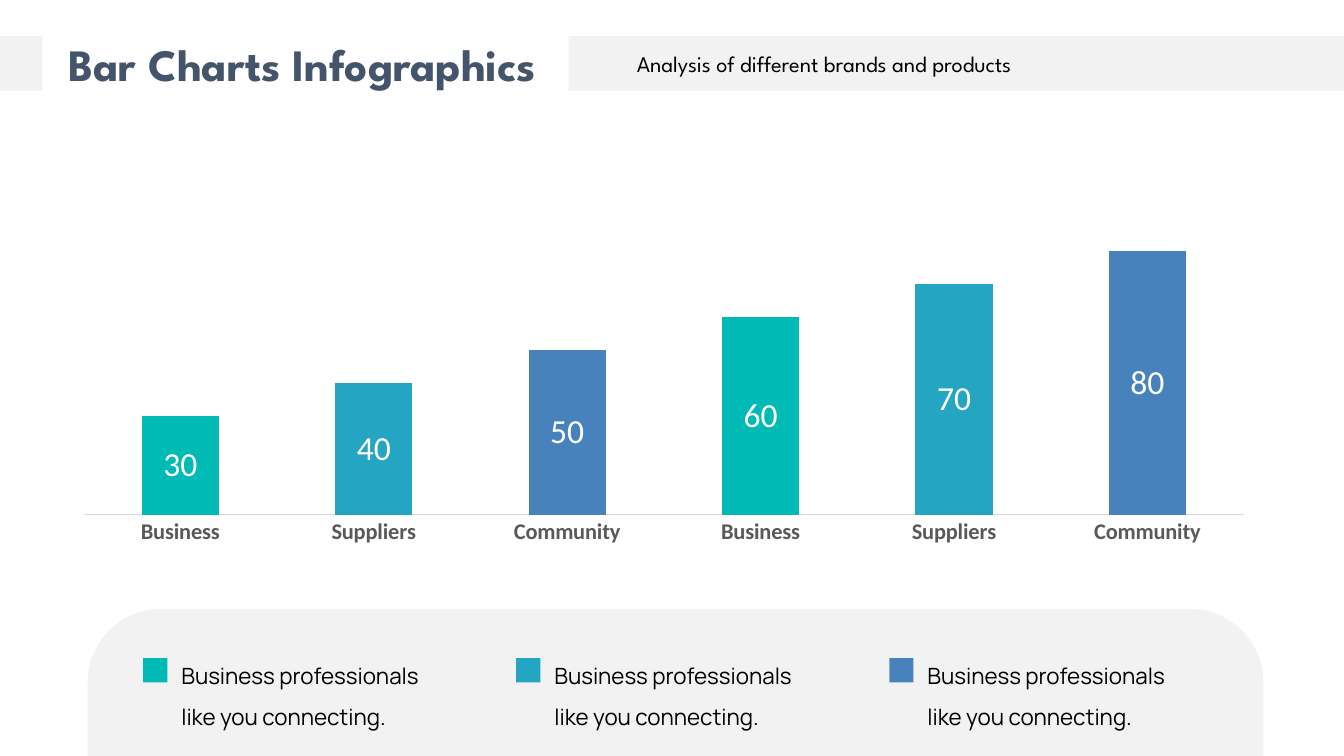
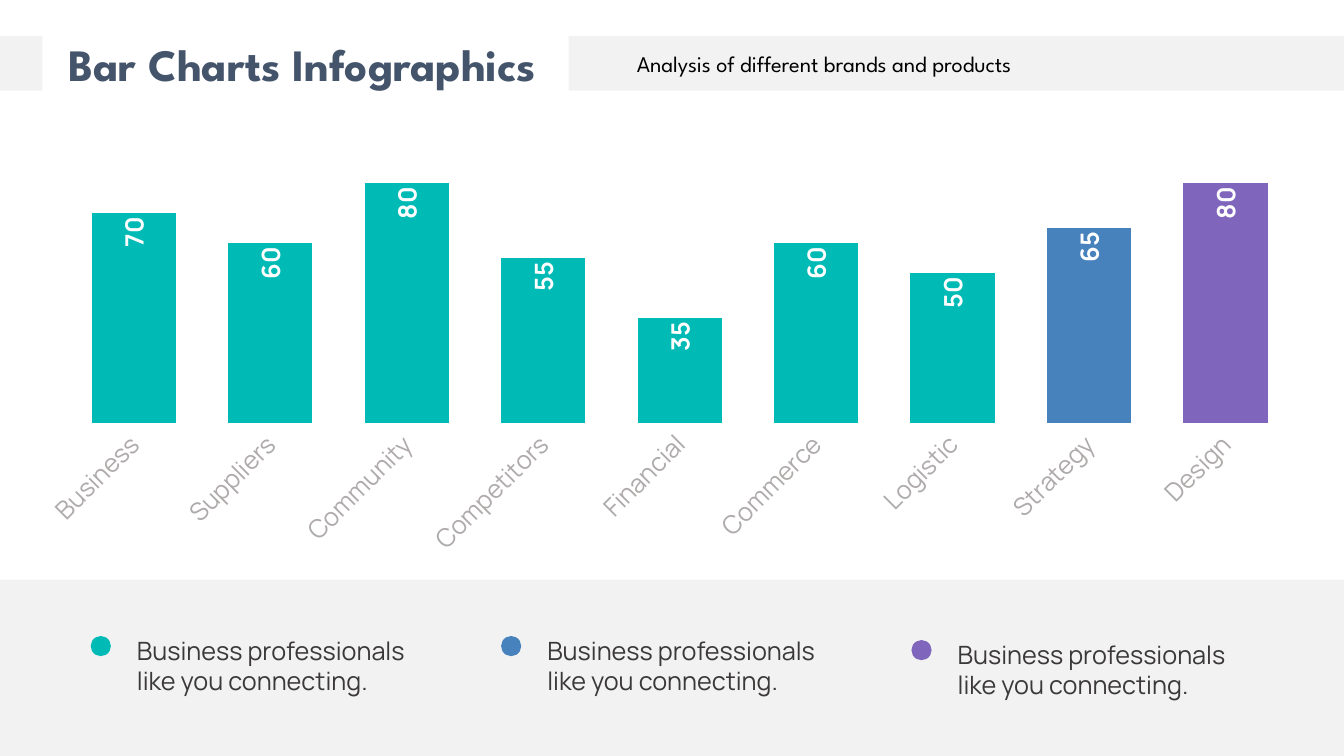
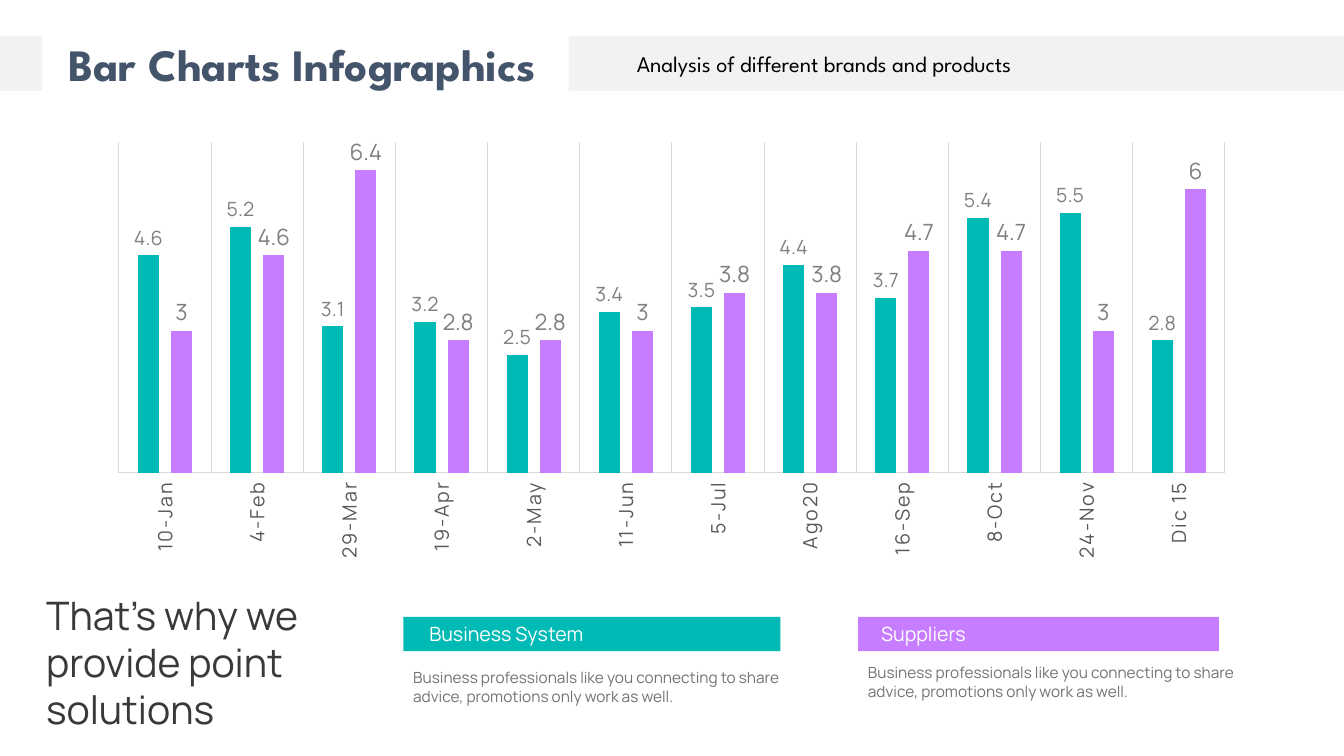
from dataclasses import dataclass
from typing import Optional

from lxml import etree
from pptx import Presentation
from pptx.chart.data import CategoryChartData
from pptx.dml.color import RGBColor
from pptx.enum import chart as kinds, shapes, text
from pptx.oxml import ns
from pptx.util import Inches, Pt

WHITE = RGBColor(0xFF, 0xFF, 0xFF)
BLACK = RGBColor(0, 0, 0)
BAND = RGBColor(0xF2, 0xF2, 0xF2)
NAVY = RGBColor(0x44, 0x54, 0x6A)
TEAL = RGBColor(0x00, 0xBA, 0xB5)
CYAN = RGBColor(0x24, 0xA5, 0xC1)
BLUE = RGBColor(0x47, 0x82, 0xBD)
PURPLE = RGBColor(0x7F, 0x65, 0xBB)
VIOLET = RGBColor(0xC7, 0x7D, 0xFF)
RULE = RGBColor(0xD9, 0xD9, 0xD9)
INK = RGBColor(0x3B, 0x38, 0x38)
CAPTION = RGBColor(0x76, 0x71, 0x71)
AXIS_TEXT = RGBColor(0x59, 0x59, 0x59)
PALE_TEXT = RGBColor(0xAF, 0xAB, 0xAB)
VALUE_TEXT = RGBColor(0x80, 0x80, 0x80)

HEADING_FONT = "League Spartan"
BODY_FONT = "Manrope"
CHART_FONT = "Calibri"
RECT = shapes.MSO_SHAPE.RECTANGLE
PROFESSIONALS = "Business professionals like you connecting."
ADVICE = ("Business professionals like you connecting to share advice, "
          "promotions only work as well.")

Box = tuple[float, float, float, float]


@dataclass(frozen=True)
class TextStyle:
    size: float
    color: RGBColor
    font: str = BODY_FONT
    bold: bool = False
    turn: int = 0
    tracking: int = 0


@dataclass(frozen=True)
class Bars:
    values: list[float]
    colors: list[RGBColor]
    labels: TextStyle
    position: kinds.XL_LABEL_POSITION


@dataclass(frozen=True)
class BarChart:
    box: Box
    plot: Box
    categories: list[str]
    bars: list[Bars]
    axis: TextStyle
    top_value: float
    gap: int
    overlap: int
    baseline: bool = True
    dividers: bool = False
    axis_labels: kinds.XL_TICK_LABEL_POSITION = (
        kinds.XL_TICK_LABEL_POSITION.NEXT_TO_AXIS)


@dataclass(frozen=True)
class LegendEntry:
    color: RGBColor
    marker: Box
    words: Box


@dataclass(frozen=True)
class Banner:
    heading: str
    color: RGBColor
    left: float
    width: float
    inset: float
    detail_top: float


def write(frame, words: str, *, size: float, color: RGBColor = BLACK,
          font: str = BODY_FONT, bold: bool = False, spacing: float = 1.0,
          align: Optional[text.PP_ALIGN] = text.PP_ALIGN.LEFT) -> None:
    frame.word_wrap = True
    frame.auto_size = text.MSO_AUTO_SIZE.SHAPE_TO_FIT_TEXT
    frame.vertical_anchor = text.MSO_ANCHOR.TOP
    paragraph = frame.paragraphs[0]
    paragraph.alignment = align
    paragraph.line_spacing = spacing
    run = paragraph.add_run()
    run.text = words
    run.font.size, run.font.name, run.font.bold = Pt(size), font, bold
    run.font.color.rgb = color


def add_words(slide, box: Box, words: str, **style) -> None:
    write(slide.shapes.add_textbox(*map(Inches, box)).text_frame, words, **style)


def add_block(slide, box: Box, color: RGBColor, preset=RECT):
    block = slide.shapes.add_shape(preset, *map(Inches, box))
    block.shadow.inherit = False
    block.fill.solid()
    block.fill.fore_color.rgb = color
    block.line.fill.background()
    return block


def start_slide(deck):
    slide = deck.slides.add_slide(deck.slide_layouts[5])
    for left, width in ((0, 0.42), (5.64, 7.69)):
        add_block(slide, (left, 0.36, width, 0.54), BAND)
    title = slide.shapes.title
    title.left, title.top, title.width, title.height = map(
        Inches, (0.24, 0.31, 5.52, 0.64))
    write(title.text_frame, "Bar Charts Infographics", size=32, color=NAVY,
          font=HEADING_FONT, bold=True, align=text.PP_ALIGN.CENTER)
    add_words(slide, (5.76, 0.45, 4.83, 0.37),
              "Analysis of different brands and products", size=16,
              font=HEADING_FONT, align=text.PP_ALIGN.CENTER)
    return slide


def style_chart_text(owner, holder, style: TextStyle) -> None:
    owner.font.size, owner.font.name = Pt(style.size), style.font
    owner.font.bold = style.bold
    owner.font.color.rgb = style.color
    properties = holder.find(ns.qn("c:txPr"))
    if style.turn:
        body = properties.find(ns.qn("a:bodyPr"))
        body.set("rot", str(style.turn * 60000))
        body.set("vert", "horz")
    if style.tracking:
        properties.find(".//" + ns.qn("a:defRPr")).set("spc", str(style.tracking))


def place_plot(chart, box: Box, plot: Box) -> None:
    area = chart.element.find(".//" + ns.qn("c:plotArea"))
    for old in area.findall(ns.qn("c:layout")):
        area.remove(old)
    layout = etree.Element(ns.qn("c:layout"))
    manual = etree.SubElement(layout, ns.qn("c:manualLayout"))
    left, top, width, height = box
    fractions = ((plot[0] - left) / width, (plot[1] - top) / height,
                 plot[2] / width, plot[3] / height)
    settings = [("layoutTarget", "inner"), ("xMode", "edge"), ("yMode", "edge")]
    settings += zip("xywh", (f"{part:.4f}" for part in fractions))
    for tag, value in settings:
        etree.SubElement(manual, ns.qn(f"c:{tag}")).set("val", value)
    area.insert(0, layout)


def style_rule(line) -> None:
    line.color.rgb = RULE
    line.width = Pt(0.75)


def add_bar_chart(slide, design: BarChart) -> None:
    data = CategoryChartData()
    data.categories = design.categories
    for number, bars in enumerate(design.bars, 1):
        data.add_series(f"Series {number}", bars.values)
    chart = slide.shapes.add_chart(kinds.XL_CHART_TYPE.COLUMN_CLUSTERED,
                                   *map(Inches, design.box), data).chart
    chart.has_legend = chart.has_title = False
    chart.font.name, chart.font.size = design.axis.font, Pt(design.axis.size)
    chart.font.color.rgb = BLACK

    values = chart.value_axis
    values.minimum_scale, values.maximum_scale = 0, design.top_value
    values.has_major_gridlines = False
    values.visible = False

    axis = chart.category_axis
    axis.major_tick_mark = axis.minor_tick_mark = kinds.XL_TICK_MARK.NONE
    axis.tick_label_position = design.axis_labels
    axis.has_major_gridlines = design.dividers
    if design.dividers:
        style_rule(axis.major_gridlines.format.line)
    if design.baseline:
        style_rule(axis.format.line)
    else:
        axis.format.line.fill.background()
    style_chart_text(axis.tick_labels,
                     chart.element.find(".//" + ns.qn("c:catAx")), design.axis)

    plot = chart.plots[0]
    plot.vary_by_categories = False
    plot.gap_width, plot.overlap = design.gap, design.overlap
    for series, bars in zip(plot.series, design.bars):
        series.format.fill.solid()
        series.format.fill.fore_color.rgb = bars.colors[0]
        if len(bars.colors) > 1:
            for index, color in enumerate(bars.colors):
                fill = series.points[index].format.fill
                fill.solid()
                fill.fore_color.rgb = color
        labels = series.data_labels
        labels.show_value = True
        labels.position = bars.position
        holder = chart.element.findall(".//" + ns.qn("c:dLbls"))[-1]
        style_chart_text(labels, holder, bars.labels)
    place_plot(chart, design.box, design.plot)


def add_legend(slide, entries: list[LegendEntry], preset, **style) -> None:
    for entry in entries:
        add_block(slide, entry.marker, entry.color, preset)
        add_words(slide, entry.words, PROFESSIONALS, **style)


def build_growth(deck) -> None:
    slide = start_slide(deck)
    panel = add_block(slide, (0.87, 6.04, 11.66, 1.46), BAND,
                      shapes.MSO_SHAPE.ROUND_2_SAME_RECTANGLE)
    panel.adjustments[0], panel.adjustments[1] = 0.5, 0
    trio = [TEAL, CYAN, BLUE]
    add_bar_chart(slide, BarChart(
        box=(0.59, 1.76, 11.99, 3.73), plot=(0.83, 1.84, 11.51, 3.27),
        categories=["Business", "Suppliers", "Community"] * 2,
        bars=[Bars([30, 40, 50, 60, 70, 80], trio * 2,
                   TextStyle(24, WHITE, CHART_FONT),
                   kinds.XL_LABEL_POSITION.CENTER)],
        axis=TextStyle(16, AXIS_TEXT, CHART_FONT, bold=True),
        top_value=100, gap=150, overlap=-25))
    add_legend(slide, [
        LegendEntry(color, (1.42 + 3.7 * column, 6.53, 0.24, 0.24),
                    (1.7 + 3.7 * column, 6.39, 2.81, 0.88))
        for column, color in enumerate(trio)], RECT, size=16, spacing=1.5)


def build_departments(deck) -> None:
    slide = start_slide(deck)
    add_bar_chart(slide, BarChart(
        box=(0.21, 1.43, 12.88, 4.5), plot=(0.65, 1.52, 12.18, 2.68),
        categories=["Business", "Suppliers", "Community", "Competitors",
                    "Financial", "Commerce", "Logistic", "Strategy", "Design"],
        bars=[Bars([70, 60, 80, 55, 35, 60, 50, 65, 80],
                   [TEAL] * 7 + [BLUE, PURPLE],
                   TextStyle(18, WHITE, bold=True, turn=-90),
                   kinds.XL_LABEL_POSITION.INSIDE_END)],
        axis=TextStyle(18, PALE_TEXT, turn=-45),
        top_value=90, gap=62, overlap=-22, baseline=False))
    add_block(slide, (0, 5.75, 13.33, 1.75), BAND)
    columns = ((TEAL, 0), (BLUE, 0), (PURPLE, 0.04))
    add_legend(slide, [
        LegendEntry(color, (0.9 + 4.07 * column, 6.31 + drop, 0.2, 0.2),
                    (1.26 + 4.07 * column, 6.25 + drop, 3.04, 0.71))
        for column, (color, drop) in enumerate(columns)],
        shapes.MSO_SHAPE.OVAL, size=18, color=INK)


def build_calendar(deck) -> None:
    slide = start_slide(deck)
    outside = kinds.XL_LABEL_POSITION.OUTSIDE_END
    add_bar_chart(slide, BarChart(
        box=(0.95, 1.32, 11.44, 4.31), plot=(1.18, 1.41, 10.97, 3.28),
        categories=["10-Jan", "4-Feb", "29-Mar", "19-Apr", "2-May", "11-Jun",
                    "5-Jul", "Ago20", "16-Sep", "8-Oct", "24-Nov", "Dic 15"],
        bars=[Bars([4.6, 5.2, 3.1, 3.2, 2.5, 3.4, 3.5, 4.4, 3.7, 5.4, 5.5, 2.8],
                   [TEAL], TextStyle(14, VALUE_TEXT), outside),
              Bars([3, 4.6, 6.4, 2.8, 2.8, 3, 3.8, 3.8, 4.7, 4.7, 3, 6],
                   [VIOLET], TextStyle(16, VALUE_TEXT), outside)],
        axis=TextStyle(14, AXIS_TEXT, turn=-90, tracking=120),
        top_value=7, gap=181, overlap=-57, dividers=True,
        axis_labels=kinds.XL_TICK_LABEL_POSITION.LOW))
    for banner in (Banner("Business System", TEAL, 4, 3.74, 0.16, 6.58),
                   Banner("Suppliers", VIOLET, 8.51, 3.58, 0.13, 6.53)):
        add_block(slide, (banner.left, 6.12, banner.width, 0.34), banner.color)
        add_words(slide, (banner.left + banner.inset, 6.12, 3.1, 0.34),
                  banner.heading, size=14, color=WHITE)
        add_words(slide, (banner.left, banner.detail_top, 3.87, 0.47),
                  ADVICE, size=11, color=CAPTION)
    add_words(slide, (0.36, 5.82, 3.44, 1.51),
              "That’s why we provide point solutions", size=28, color=INK)


def main() -> None:
    deck = Presentation()
    deck.slide_width, deck.slide_height = Inches(13.33), Inches(7.5)
    for build in (build_growth, build_departments, build_calendar):
        build(deck)
    deck.save("out.pptx")


if __name__ == "__main__":
    main()
